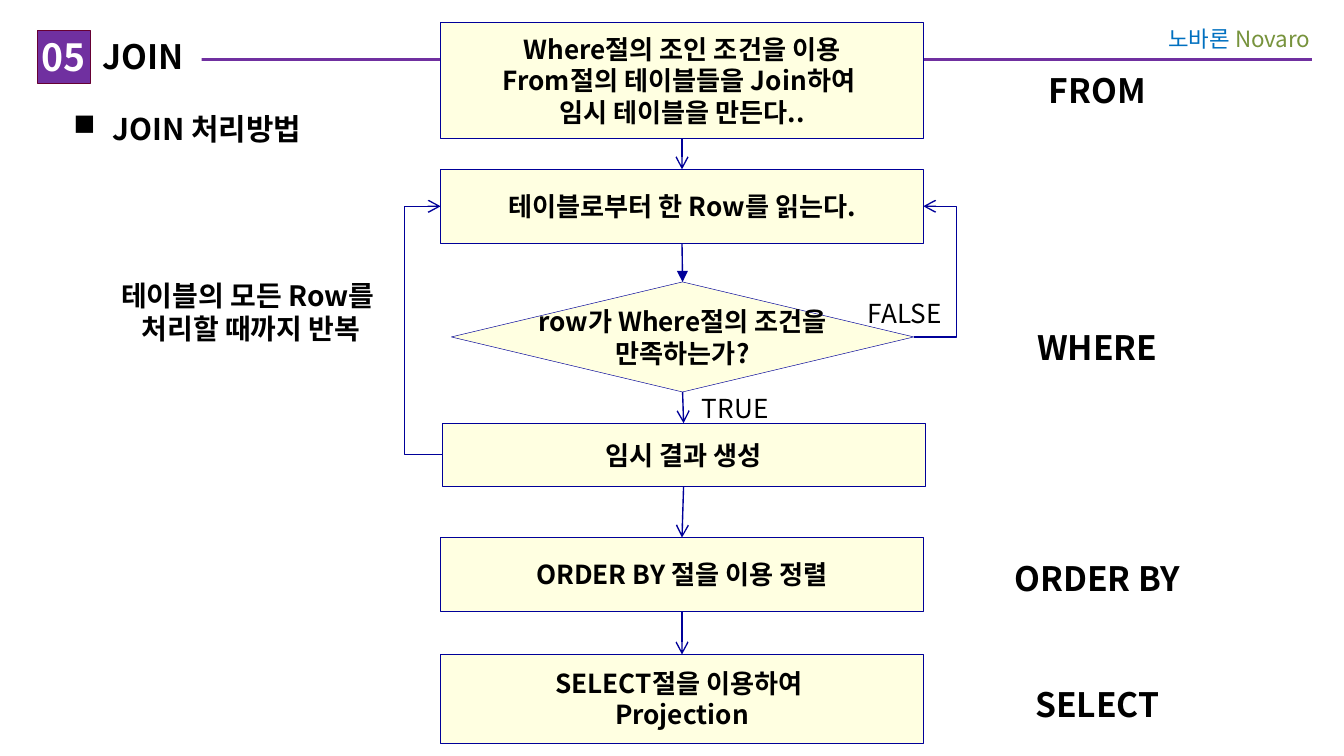
from lxml import etree
from pptx import Presentation
from pptx.dml.color import RGBColor
from pptx.enum.shapes import MSO_CONNECTOR, MSO_SHAPE
from pptx.enum.text import MSO_ANCHOR, MSO_AUTO_SIZE, PP_ALIGN
from pptx.oxml.ns import qn
from pptx.util import Cm, Pt

STRAIGHT, ELBOW = MSO_CONNECTOR.STRAIGHT, MSO_CONNECTOR.ELBOW
RECT = MSO_SHAPE.RECTANGLE
PROCESS, DECISION = MSO_SHAPE.FLOWCHART_PROCESS, MSO_SHAPE.FLOWCHART_DECISION
TOP, MIDDLE = MSO_ANCHOR.TOP, MSO_ANCHOR.MIDDLE
LEFT, CENTER, RIGHT = PP_ALIGN.LEFT, PP_ALIGN.CENTER, PP_ALIGN.RIGHT
NO_FIT = MSO_AUTO_SIZE.NONE

BLACK = RGBColor(0x00, 0x00, 0x00)
WHITE = RGBColor(0xFF, 0xFF, 0xFF)
PURPLE = RGBColor(0x70, 0x30, 0xA0)
MAROON = RGBColor(0x66, 0x00, 0x33)
NAVY = RGBColor(0x00, 0x00, 0x99)
CREAM = RGBColor(0xFF, 0xFF, 0xE1)
BLUE = RGBColor(0x00, 0x70, 0xC0)
GREEN = RGBColor(0x77, 0x93, 0x3C)

BOX_LEFT, BOX_WIDTH = 8.33, 9.12
BOTTOM_SITE, TOP_SITE = 2, 0


class FlowSlide:
    def __init__(self, s, font="Noto Sans CJK KR"):
        self.s = s
        self.font = font

    def run(self, p, text, size, color=BLACK, bold=True):
        r = p.add_run()
        r.text = text
        r.font.size, r.font.bold, r.font.name = Pt(size), bold, self.font
        r.font.color.rgb = color
        ea = etree.SubElement(r.font._element, qn("a:ea"))
        ea.set("typeface", self.font)

    def frame(self, sp, margins, anchor=TOP, wrap=True):
        tf = sp.text_frame
        tf.auto_size, tf.word_wrap, tf.vertical_anchor = NO_FIT, wrap, anchor
        (tf.margin_left, tf.margin_top,
         tf.margin_right, tf.margin_bottom) = map(Cm, margins)
        return tf

    def fill_text(self, tf, paragraphs, size, align=CENTER, **style):
        """Write each string as a paragraph, with newlines as line breaks."""
        for i, text in enumerate(paragraphs):
            p = tf.add_paragraph() if i else tf.paragraphs[0]
            p.alignment = align
            for j, line in enumerate(text.split("\n")):
                if j:
                    p.add_line_break()
                self.run(p, line, size, **style)

    def title(self, text, box):
        sp = self.s.shapes.title
        sp.left, sp.top, sp.width, sp.height = map(Cm, box)
        sp.fill.solid()
        sp.fill.fore_color.rgb = WHITE
        tf = self.frame(sp, (0.2, 0.1, 0, 0.1))
        self.fill_text(tf, [text], 18, LEFT)
        return sp

    def label(self, paragraphs, box, size, bold=True):
        sp = self.s.shapes.add_textbox(*map(Cm, box))
        tf = self.frame(sp, (0.25, 0.13, 0.25, 0.13))
        self.fill_text(tf, paragraphs, size, bold=bold)

    def header(self, parts, box):
        sp = self.s.shapes.add_textbox(*map(Cm, box))
        p = self.frame(sp, (0.25, 0.2, 0.25, 0.2)).paragraphs[0]
        p.alignment = RIGHT
        for text, color in parts:
            self.run(p, text, 12, color, False)

    def bullet(self, text, box):
        sp = self.s.shapes.add_textbox(*map(Cm, box))
        p = self.frame(sp, (0.3, 0, 0.25, 0.13)).paragraphs[0]
        p.line_spacing = 1.5
        pPr = p._p.get_or_add_pPr()
        pPr.set("marL", str(Cm(0.74)))
        pPr.set("indent", str(-Cm(0.74)))
        etree.SubElement(pPr, qn("a:buChar")).set("char", "■")
        self.run(p, text, 16)

    def shape(self, kind, box, paragraphs, size=14, fill=CREAM, line=NAVY, color=BLACK):
        sp = self.s.shapes.add_shape(kind, *map(Cm, box))
        sp.shadow.inherit = False
        sp.fill.solid()
        sp.fill.fore_color.rgb = fill
        sp.line.color.rgb = line
        sp.line.width = Pt(0.25)
        tf = self.frame(sp, (0, 0, 0, 0), MIDDLE, wrap=False)
        self.fill_text(tf, paragraphs, size, color=color)
        return sp

    def line(self, kind, start, end, color=NAVY, width=0.75, head=None):
        c = self.s.shapes.add_connector(kind, *start, *end)
        c.line.color.rgb = color
        c.line.width = Pt(width)
        if head:
            etree.SubElement(c.line._get_or_add_ln(), qn("a:tailEnd")).set("type", head)
        etree.SubElement(c._element.spPr, qn("a:effectLst"))
        return c

    def step(self, upper, lower, head="arrow"):
        """Arrow from the bottom of one shape to the top of the next."""
        c = self.line(STRAIGHT, (0, 0), (0, 0), head=head)
        c.begin_connect(upper, BOTTOM_SITE)
        c.end_connect(lower, TOP_SITE)

    def loop(self, start, end, via_x):
        """Elbow arrow that swings out to via_x on its way back."""
        c = self.line(ELBOW, start, end, head="arrow")
        ratio = (Cm(via_x) - start[0]) / (end[0] - start[0])
        geom = c._element.spPr.find(qn("a:prstGeom"))
        av = geom.find(qn("a:avLst"))
        gd = etree.SubElement(av, qn("a:gd"))
        gd.set("name", "adj1")
        gd.set("fmla", f"val {round(ratio * 100000)}")


def left_mid(sp):
    return sp.left, sp.top + sp.height // 2


def right_mid(sp):
    return sp.left + sp.width, sp.top + sp.height // 2


def main():
    prs = Presentation()
    prs.slide_width, prs.slide_height = Cm(25.4), Cm(14.29)
    flow = FlowSlide(prs.slides.add_slide(prs.slide_layouts[5]))

    title = flow.title("JOIN", (1.73, 0.58, 2.08, 0.97))
    rule = flow.line(STRAIGHT, (Cm(24.79), Cm(1.12)), (Cm(1.8), Cm(1.12)), PURPLE, 1.5)
    title.element.addprevious(rule.element)  # the title covers the end of the rule
    flow.header([("노바론 ", BLUE), ("Novaro", GREEN)], (21.11, 0.28, 3.91, 0.91))
    flow.bullet("JOIN 처리방법", (1.09, 1.75, 23.32, 1.19))
    flow.shape(RECT, (0.71, 0.58, 0.99, 0.99), ["05"], 20, PURPLE, MAROON, WHITE)

    def process(top, height, *paragraphs, left=BOX_LEFT):
        return flow.shape(PROCESS, (left, top, BOX_WIDTH, height), paragraphs)

    join = process(0.43, 2.18, "Where절의 조인 조건을 이용\nFrom절의 테이블들을 Join하여 ",
                   "임시 테이블을 만든다..")
    read = process(3.2, 1.4, "테이블로부터 한 Row를 읽는다.")
    test = flow.shape(DECISION, (8.53, 5.33, 8.74, 2.08),
                      ["row가 Where절의 조건을\n만족하는가?"])
    result = process(8.0, 1.19, "임시 결과 생성", left=8.36)
    order = process(10.16, 1.4, "ORDER BY 절을 이용 정렬")
    select = process(12.37, 1.68, "SELECT절을 이용하여 \nProjection")

    flow.step(join, read)
    flow.step(read, test, head="triangle")
    for upper, lower in [(test, result), (result, order), (order, select)]:
        flow.step(upper, lower)
    flow.loop(right_mid(test), right_mid(read), 18.08)
    flow.loop(left_mid(result), left_mid(read), 7.65)

    flow.label(["테이블의 모든 Row를 ", "처리할 때까지 반복"], (1.57, 5.13, 6.35, 1.52), 15)
    flow.label(["TRUE"], (10.72, 7.29, 6.35, 0.86), 14, bold=False)
    flow.label(["FALSE"], (15.54, 5.49, 3.12, 0.86), 14, bold=False)
    for clause, top in [("FROM", 1.19), ("WHERE", 6.05), ("ORDER BY", 10.41), ("SELECT", 12.8)]:
        flow.label([clause], (17.83, top, 5.82, 1.02), 18)

    prs.save("out.pptx")


if __name__ == "__main__":
    main()
